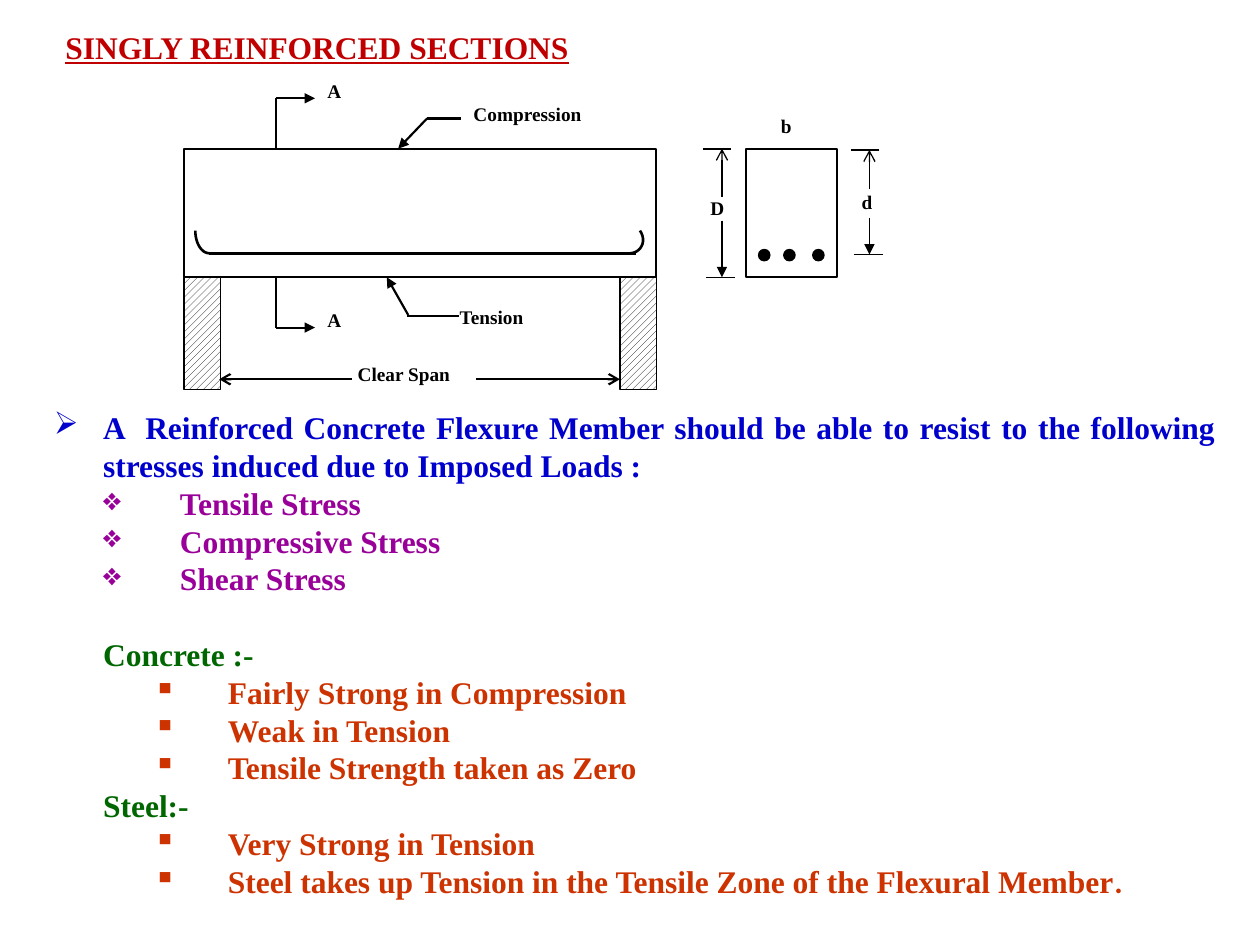
from typing import NamedTuple

from lxml import etree
from pptx import Presentation
from pptx.dml.color import RGBColor
from pptx.enum.dml import MSO_PATTERN
from pptx.enum.shapes import MSO_CONNECTOR, MSO_SHAPE
from pptx.enum.text import MSO_ANCHOR, PP_ALIGN
from pptx.oxml.ns import qn
from pptx.util import Inches, Pt

RECT, OVAL = MSO_SHAPE.RECTANGLE, MSO_SHAPE.OVAL
STRAIGHT = MSO_CONNECTOR.STRAIGHT
HATCH = MSO_PATTERN.WIDE_UPWARD_DIAGONAL
MIDDLE, JUSTIFY = MSO_ANCHOR.MIDDLE, PP_ALIGN.JUSTIFY
SERIF = "Times New Roman"
BLACK, WHITE, RED = "000000", "FFFFFF", "C00000"
BLUE, PURPLE, GREEN, RUST = "0000CC", "990099", "006600", "CC3300"


class Line(NamedTuple):
    x1: float
    y1: float
    x2: float
    y2: float
    width: float = 1.25
    head: str = ""
    tail: str = ""


class Label(NamedTuple):
    text: str
    x: float
    y: float
    w: float
    h: float = 0.34


class Level(NamedTuple):
    color: str
    left: float
    indent: float
    bullet: str = ""


class Point(NamedTuple):
    text: str
    level: Level
    before: float = 0


LEAD = Level(BLUE, 0.39, -0.39, "➢")
STRESS = Level(PURPLE, 1, -0.61, "❖")
HEADING = Level(GREEN, 0.39, 0)
FACT = Level(RUST, 1.38, -0.59, "▪")

POINTS = [
    Point("A  Reinforced Concrete Flexure Member should be able to resist to "
          "the following stresses induced due to Imposed Loads :", LEAD),
    Point("Tensile Stress", STRESS),
    Point("Compressive Stress", STRESS),
    Point("Shear Stress", STRESS),
    Point("Concrete :-", HEADING, 21.6),
    Point("Fairly Strong in Compression", FACT),
    Point("Weak in Tension", FACT),
    Point("Tensile Strength taken as Zero", FACT),
    Point("Steel:-", HEADING),
    Point("Very Strong in Tension", FACT),
    Point("Steel takes up Tension in the Tensile Zone of the Flexural Member",
          FACT),
]

TOP, BASE = 1.18, 2.2  # upper and lower faces of the beam
CUT, SPAN = 2.19, 3.01  # x of the section cut, y of the span line
LINES = [
    Line(CUT, 0.78, CUT, TOP, 1.5),
    Line(CUT, BASE, CUT, 2.6),
    Line(CUT, 0.78, 2.5, 0.78, tail="triangle"),
    Line(CUT, 2.6, 2.5, 2.6, tail="triangle"),
    Line(1.66, 2.01, 5.05, 2.01, 1.5),
    Line(3.16, TOP, 3.39, 0.94, head="triangle"),
    Line(3.39, 0.94, 3.66, 0.94),
    Line(3.23, 2.51, 3.64, 2.51),
    Line(3.07, BASE, 3.24, 2.5, head="triangle"),
    Line(3.78, SPAN, 4.92, SPAN, tail="arrow"),
    Line(1.74, SPAN, 2.79, SPAN, head="arrow"),
    Line(5.8, TOP, 5.58, TOP),
    Line(5.83, BASE, 5.6, BASE, 0.75),
    Line(5.73, 1.75, 5.73, BASE, 0.75, tail="triangle"),
    Line(5.73, TOP, 5.73, 1.56, 0.75, head="arrow"),
    Line(6.98, 1.19, 6.75, 1.19, 0.75),
    Line(7.01, 2.02, 6.78, 2.02, 0.75),
    Line(6.9, 1.73, 6.9, 2.02, 0.75, tail="triangle"),
    Line(6.9, 1.19, 6.9, 1.5, 0.75, head="arrow"),
]
LABELS = [
    Label("A", 2.5, 0.58, 0.32),
    Label("A", 2.5, 2.4, 0.32),
    Label("Compression", 3.66, 0.76, 1.13),
    Label("Tension", 3.55, 2.37, 0.88),
    Label("Clear Span", 2.74, 2.83, 1.13),
    Label("b", 6.1, 0.86, 0.34),
    Label("D", 5.54, 1.51, 0.34),
    Label("d", 6.74, 1.46, 0.34),
]
# Each hook is a cubic curve given by four control points.
HOOKS = [
    [(1.66, 2.01), (1.6, 2.01), (1.55, 1.93), (1.55, 1.83)],
    [(5, 2.01), (5.08, 2.01), (5.14, 1.92), (5.08, 1.83)],
]


def rgb(code: str) -> RGBColor:
    return RGBColor.from_string(code)


def style(font, size: float, color: str) -> None:
    font.name, font.size, font.bold = SERIF, Pt(size), True
    font.color.rgb = rgb(color)


def ink(line, width: float) -> None:
    line.color.rgb = rgb(BLACK)
    line.width = Pt(width)


def add_form(slide, kind, x, y, w, h, fill=WHITE, width=1.25):
    form = slide.shapes.add_shape(kind, Inches(x), Inches(y),
                                  Inches(w), Inches(h))
    form.shadow.inherit = False
    form.fill.solid()
    form.fill.fore_color.rgb = rgb(fill)
    ink(form.line, width)
    return form


def add_line(slide, line: Line) -> None:
    ends = [Inches(n) for n in line[:4]]
    link = slide.shapes.add_connector(STRAIGHT, *ends)
    ink(link.line, line.width)
    for tag, tip in (("a:headEnd", line.head), ("a:tailEnd", line.tail)):
        if tip:
            etree.SubElement(link.line._get_or_add_ln(), qn(tag), type=tip)
    etree.SubElement(link._element.spPr, qn("a:effectLst"))


def add_hook(slide, curve: list, steps: int = 12) -> None:
    """Trace a cubic curve with short straight pieces."""
    dots = []
    for step in range(steps + 1):
        t = step / steps
        parts = ((1 - t)**3, 3 * t * (1 - t)**2, 3 * t * t * (1 - t), t**3)
        dots.append([Inches(sum(k * p[axis] for k, p in zip(parts, curve)))
                     for axis in (0, 1)])
    pen = slide.shapes.build_freeform(*dots[0])
    pen.add_line_segments(dots[1:], close=False)
    hook = pen.convert_to_shape()
    hook.shadow.inherit = False
    hook.fill.background()
    ink(hook.line, 1.5)


def add_box(slide, x: float, y: float, w: float, h: float):
    frame = slide.shapes.add_textbox(Inches(x), Inches(y),
                                     Inches(w), Inches(h)).text_frame
    frame.word_wrap = True
    return frame


def add_text(slide, label: Label, size: float = 11, color: str = BLACK):
    frame = add_box(slide, *label[1:])
    frame.text = label.text
    style(frame.paragraphs[0].runs[0].font, size, color)
    return frame


def fill_point(para, point: Point) -> None:
    level = point.level
    para.text = point.text
    para.alignment = JUSTIFY
    props = para._p.get_or_add_pPr()
    props.set("marL", str(Inches(level.left)))
    props.set("indent", str(Inches(level.indent)))
    if point.before:
        para.space_before = Pt(point.before)
    if level.bullet:
        tint = etree.SubElement(props, qn("a:buClr"))
        etree.SubElement(tint, qn("a:srgbClr"), val=level.color)
        etree.SubElement(props, qn("a:buChar"), char=level.bullet)
    style(para.runs[0].font, 18, level.color)


def main() -> None:
    deck = Presentation()
    deck.slide_width, deck.slide_height = Inches(10), Inches(7.5)
    slide = deck.slides.add_slide(deck.slide_layouts[6])

    title = add_text(slide, Label("SINGLY REINFORCED SECTIONS",
                                  0.42, 0.17, 4.5, 0.4), 18, RED)
    title.vertical_anchor = MIDDLE
    title.paragraphs[0].runs[0].font.underline = True

    add_form(slide, RECT, 1.46, TOP, 3.75, BASE - TOP)
    for x in (1.46, 4.92):
        post = add_form(slide, RECT, x, BASE, 0.29, 0.89, width=0.75)
        post.fill.patterned()
        post.fill.pattern = HATCH
        post.fill.fore_color.rgb = rgb(BLACK)
        post.fill.back_color.rgb = rgb(WHITE)
    add_form(slide, RECT, 5.92, TOP, 0.72, BASE - TOP)
    for x in (6.02, 6.22, 6.45):
        add_form(slide, OVAL, x, 1.98, 0.09, 0.09, BLACK, 0.75)
    for line in LINES:
        add_line(slide, line)
    for curve in HOOKS:
        add_hook(slide, curve)
    for label in LABELS:
        add_text(slide, label)

    body = add_box(slide, 0.33, 3.17, 9.42, 4.04)
    body.vertical_anchor = MIDDLE
    for spot, point in enumerate(POINTS):
        para = body.add_paragraph() if spot else body.paragraphs[0]
        fill_point(para, point)
    stop = para.add_run()
    stop.text = "."
    style(stop.font, 18, RUST)
    stop.font.name = "Calibri"
    deck.save("out.pptx")


if __name__ == "__main__":
    main()
